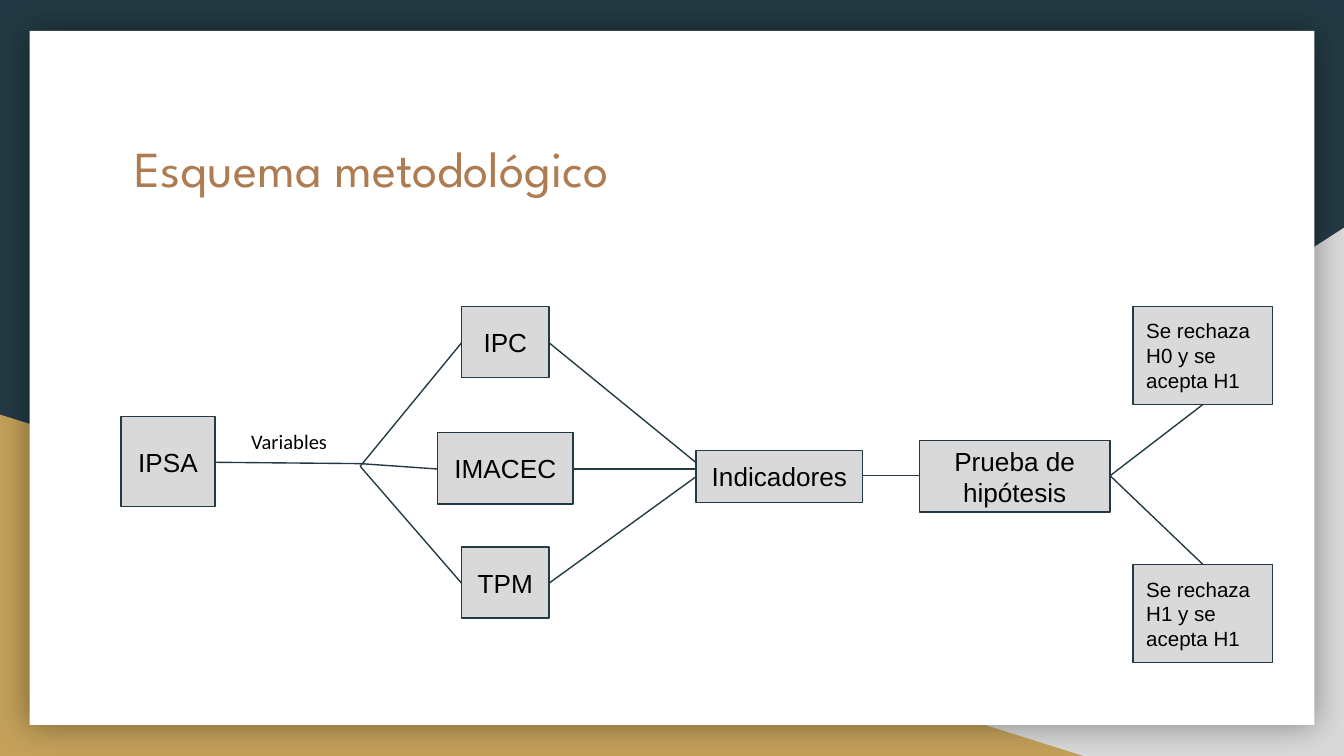
from lxml import etree
from pptx import Presentation
from pptx.dml.color import RGBColor
from pptx.enum.shapes import MSO_CONNECTOR, MSO_SHAPE
from pptx.enum.text import MSO_ANCHOR, PP_ALIGN
from pptx.oxml.ns import qn
from pptx.util import Inches, Pt

RECT, WEDGE = MSO_SHAPE.RECTANGLE, MSO_SHAPE.RIGHT_TRIANGLE
LINE = MSO_CONNECTOR.STRAIGHT
LEFT, CENTER = PP_ALIGN.LEFT, PP_ALIGN.CENTER
TOP, MIDDLE = MSO_ANCHOR.TOP, MSO_ANCHOR.MIDDLE
NAVY, GRAY, GOLD = "233A44", "D9D9D9", "C4A15A"
WHITE, BLACK, BROWN = "FFFFFF", "000000", "AF7B51"
WIDE = 10
HIGH = WIDE * 9 / 16


def paint(part, color):
    """Give a fill or line format one solid colour."""
    fill = part if hasattr(part, "solid") else part.fill
    fill.solid()
    fill.fore_color.rgb = RGBColor.from_string(color)


def write(shape, text, size=14, font="Arial", color=BLACK, align=CENTER, anchor=MIDDLE):
    """Write formatted text into a shape."""
    frame = shape.text_frame
    frame.word_wrap = True
    frame.vertical_anchor = anchor
    frame.margin_left = frame.margin_right = Inches(0.1)
    frame.margin_top = frame.margin_bottom = Inches(0.1)
    para = frame.paragraphs[0]
    para.alignment = align
    run = para.add_run()
    run.text = text
    run.font.size = Pt(size)
    run.font.name = font
    run.font.color.rgb = RGBColor.from_string(color)


def block(slide, kind, box, color, edge=None):
    """Add a filled preset shape with an optional edge."""
    shape = slide.shapes.add_shape(kind, *map(Inches, box))
    shape.shadow.inherit = False
    paint(shape.fill, color)
    if edge:
        paint(shape.line, edge)
        shape.line.width = Pt(0.75)
    else:
        shape.line.fill.background()
    return shape


def link(slide, start, end):
    """Join two points with a thin line."""
    line = slide.shapes.add_connector(LINE, *map(Inches, (*start, *end)))
    paint(line.line, NAVY)
    line.line.width = Pt(0.75)
    etree.SubElement(line._element.spPr, qn("a:effectLst"))


def glow(shape):
    """Add a soft shadow on all sides of a shape."""
    effects = shape._element.spPr.find(qn("a:effectLst"))
    shade = etree.SubElement(effects, qn("a:outerShdw"), blurRad=str(Pt(18)), dist="0", dir="0", algn="ctr", rotWithShape="0")
    tone = etree.SubElement(shade, qn("a:srgbClr"), val=BLACK)
    etree.SubElement(tone, qn("a:alpha"), val="40000")


def backdrop(slide, box):
    """Lay the coloured corners and the white card in the box."""
    x, y, wide, high = box
    paint(slide.background.fill, NAVY)
    right = block(slide, WEDGE, (x + wide - 6.08, y + high - 3.93, 6.08, 3.93), GRAY)
    right._element.spPr.xfrm.set("flipH", "1")
    block(slide, WEDGE, (x, y + high - 2.54, 8.06, 2.54), GOLD)
    glow(block(slide, RECT, (x + 0.22, y + 0.23, wide - 0.44, high - 0.46), WHITE))


def heading(slide, box, text):
    """Place the title in the box, in front of the backdrop."""
    title = slide.shapes.title
    title.left, title.top, title.width, title.height = map(Inches, box)
    write(title, text, size=27, font="League Spartan", color=BROWN, align=LEFT, anchor=TOP)
    slide.shapes._spTree.append(title._element)


def flow(slide, box):
    """Draw the method scheme from index to outcomes in the box."""
    x, y, wide, high = box

    def node(text, left, top, width, height, **style):
        """Add a labelled node placed from the corner of the box."""
        shape = block(slide, RECT, (x + left, y + top, width, height), GRAY, NAVY)
        write(shape, text, **style)

    def join(start, end):
        """Link two points placed from the corner of the box."""
        link(slide, (x + start[0], y + start[1]), (x + end[0], y + end[1]))

    mid, fork = 2.86, 1.78
    node("IPSA", 0, 0.82, 0.7, 0.67)
    join((0.7, 1.16), (fork, 1.17))
    label = slide.shapes.add_textbox(*map(Inches, (x + 0.87, y + 0.82, 0.91, 0.39)))
    write(label, "Variables", size=11, font="Calibri", align=LEFT, anchor=TOP)

    rows = [("IPC", 0, 0.65, 1.19, (4.35, 1.22)),
            ("IMACEC", 0.94, 1.01, 1.17, (4.32, 1.21)),
            ("TPM", 1.79, 0.65, 1.19, (4.33, 1.23))]
    for text, top, width, start, end in rows:
        level = top + 0.27
        node(text, mid - width / 2, top, width, 0.53)
        join((fork, start), (mid - width / 2, level))
        join((mid + width / 2, level), end)

    hub = (7.36, 1.26)
    node("Indicadores", 4.28, 1.07, 1.24, 0.39)
    node("Prueba de hipótesis", 5.94, 1, 1.42, 0.53)
    join((5.52, hub[1]), (5.94, hub[1]))

    width, height = 1.04, 0.73
    ends = [("Se rechaza H0 y se acepta H1", 0, height),
            ("Se rechaza H1 y se acepta H1", high - height, high - height)]
    for text, top, edge in ends:
        node(text, wide - width, top, width, height, size=11, align=LEFT)
        join(hub, (wide - width / 2, edge))


def main():
    """Build and save the slide."""
    deck = Presentation()
    deck.slide_width, deck.slide_height = Inches(WIDE), Inches(HIGH)
    slide = deck.slides.add_slide(deck.slide_layouts[5])
    backdrop(slide, (0, 0, WIDE, HIGH))
    heading(slide, (0.9, 0.92, 8.21, 1.04), "Esquema metodológico")
    flow(slide, (0.9, 2.28, 8.57, 2.65))
    deck.save("out.pptx")


if __name__ == "__main__":
    main()
